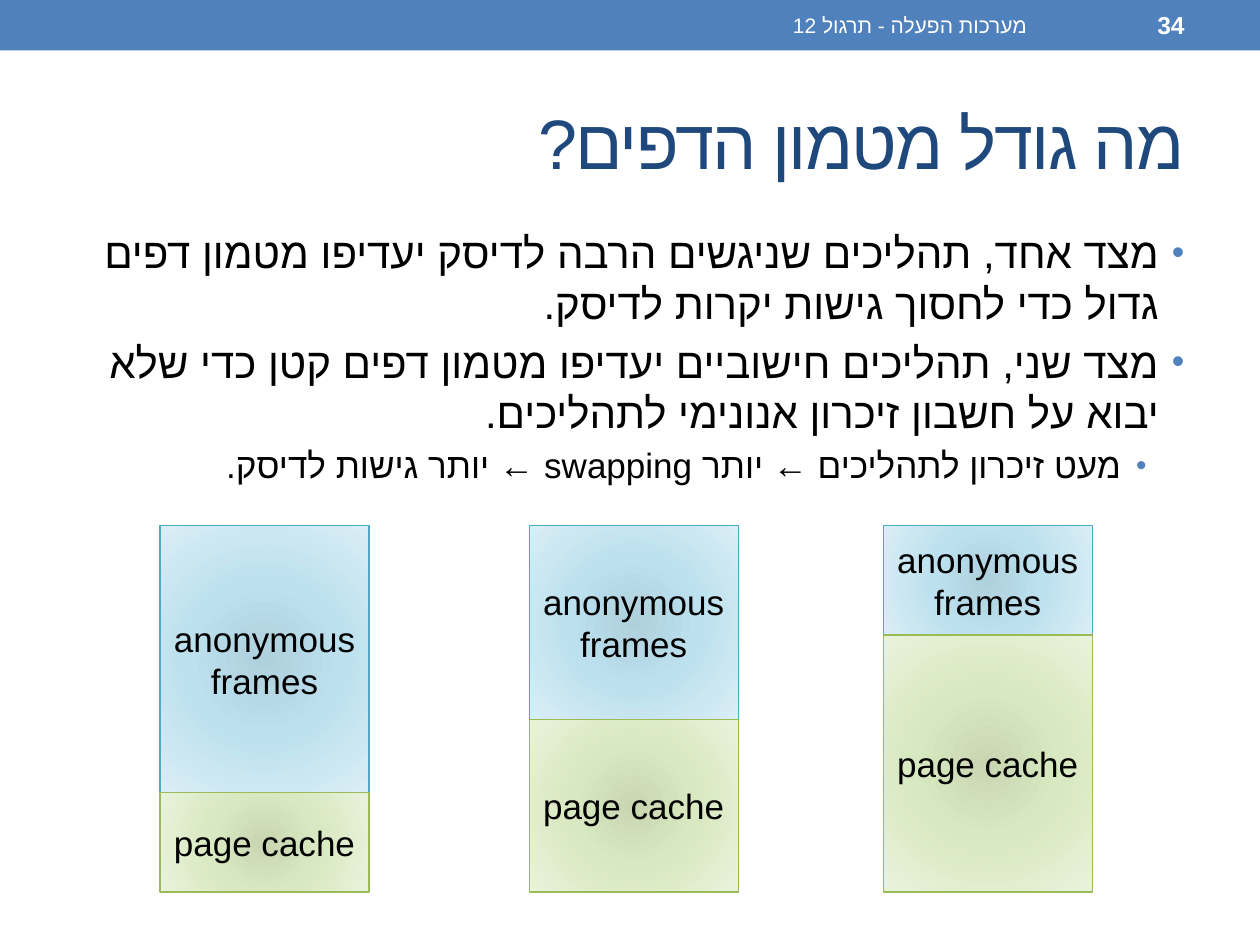
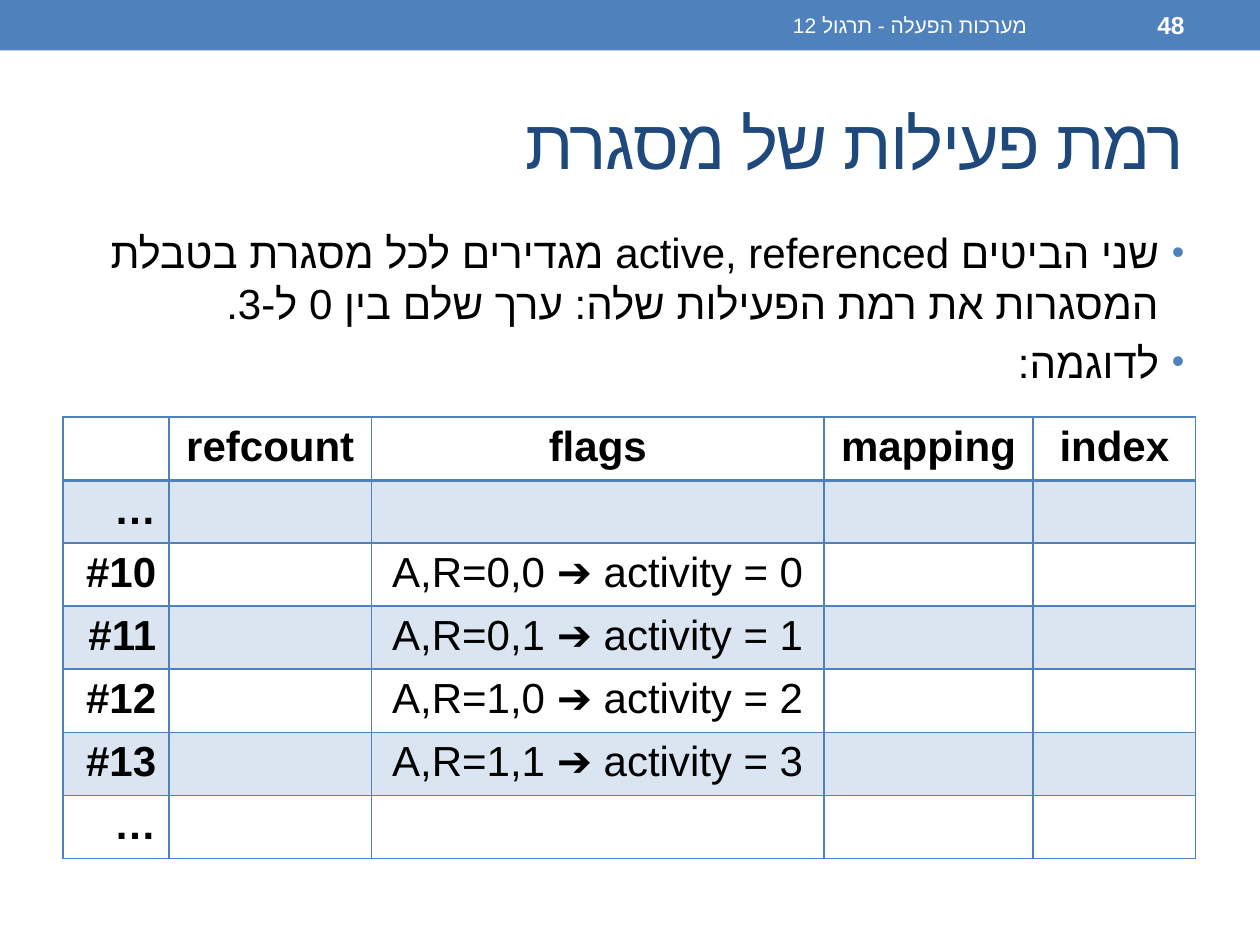
import pptx
import pptx.dml.color
import pptx.enum.shapes
import pptx.enum.text
import pptx.oxml
import pptx.oxml.ns
import pptx.util
import lxml.etree

# Content
FOOTER = "מערכות הפעלה - תרגול 12"
CACHE_SIZE = {
    "number": "34",
    "title": "מה גודל מטמון הדפים?",
    "bullets": [
        (0, "מצד אחד, תהליכים שניגשים הרבה לדיסק יעדיפו מטמון דפים גדול כדי לחסוך גישות יקרות לדיסק."),
        (0, "מצד שני, תהליכים חישוביים יעדיפו מטמון דפים קטן כדי שלא יבוא על חשבון זיכרון אנונימי לתהליכים."),
        (1, "מעט זיכרון לתהליכים ← יותר swapping ← יותר גישות לדיסק."),
    ],
}
ACTIVITY = {
    "number": "48",
    "title": "רמת פעילות של מסגרת",
    "bullets": [
        (0, "שני הביטים active, referenced מגדירים לכל מסגרת בטבלת המסגרות את רמת הפעילות שלה: ערך שלם בין 0 ל-3."),
        (0, "לדוגמה:"),
    ],
}
# Left edge of each memory bar and the height of its anonymous part
MEMORY_BARS = [(1.27, 2.12), (4.2, 1.54), (7.01, 0.87)]
BAR_TOP, BAR_BOTTOM, BAR_WIDTH = 4.17, 7.08, 1.66

FRAME_HEADER = ["", "refcount", "flags", "mapping", "index"]
FRAME_ROWS = [
    ("…", ""),
    ("#10", "A,R=0,0 ➔ activity = 0"),
    ("#11", "A,R=0,1 ➔ activity = 1"),
    ("#12", "A,R=1,0 ➔ activity = 2"),
    ("#13", "A,R=1,1 ➔ activity = 3"),
    ("…", ""),
]
FRAME_COLUMNS = [0.84, 1.61, 3.59, 1.66, 1.29]
ROW_HEIGHT = 0.41

# Shared style
FONT = "Arial"
BLUE, NAVY, BLACK, WHITE = "4F81BD", "1F497D", "000000", "FFFFFF"
ANONYMOUS = ("4BACC6", [(0, "AFD0DD"), (45, "BCE0EE"), (100, "DAEEF6")])
PAGE_CACHE = ("9BBB59", [(0, "C8D7B2"), (45, "D8E8C0"), (100, "E9F3DC")])
LEVELS = [(24, 0.2), (20, 0.5)]  # text size, indent
HANGING = 0.2
MARGIN = 0.5
BAND_HEIGHT = 0.4
CENTER = pptx.enum.text.PP_ALIGN.CENTER
RIGHT = pptx.enum.text.PP_ALIGN.RIGHT
MIDDLE = pptx.enum.text.MSO_ANCHOR.MIDDLE


def inches(*lengths):
    return [pptx.util.Inches(length) for length in lengths]


def color(value):
    return pptx.dml.color.RGBColor.from_string(value)


def add_xml(parent, markup):
    """Append DrawingML elements to parent, in order."""
    wrapper = f'<a:x {pptx.oxml.ns.nsdecls("a")}>{markup}</a:x>'
    for element in list(pptx.oxml.parse_xml(wrapper)):
        parent.append(element)


def write(para, text, size, ink=BLACK, bold=False, align=CENTER, rtl=False):
    para.alignment = align
    span = para.add_run()
    span.text = text
    span.font.size = pptx.util.Pt(size)
    span.font.bold = bold
    span.font.name = FONT
    span.font.color.rgb = color(ink)
    add_xml(span.font._element, f'<a:cs typeface="{FONT}"/>')
    if rtl:
        para._p.get_or_add_pPr().set("rtl", "1")
    return span


def place(shape, left, top, width, height):
    shape.left, shape.top, shape.width, shape.height = inches(left, top, width, height)


def add_rectangle(page, left, top, width, height):
    box = page.shapes.add_shape(pptx.enum.shapes.MSO_SHAPE.RECTANGLE,
                                *inches(left, top, width, height))
    box.shadow.inherit = False
    return box


def add_band_text(page, text, left, width, size, bold=False):
    box = page.shapes.add_textbox(*inches(left, 0.02, width, 0.36))
    box.text_frame.word_wrap = True
    box.text_frame.vertical_anchor = MIDDLE
    write(box.text_frame.paragraphs[0], text, size, WHITE, bold, RIGHT, rtl=True)


def add_bullets(frame, bullets):
    frame.auto_size = pptx.enum.text.MSO_AUTO_SIZE.NONE
    for index, (level, text) in enumerate(bullets):
        para = frame.add_paragraph() if index else frame.paragraphs[0]
        para.level = level
        size, indent = LEVELS[level]
        write(para, text, size, align=RIGHT, rtl=True)
        properties = para._p.get_or_add_pPr()
        properties.set("marL", str(pptx.util.Inches(indent)))
        properties.set("marR", "0")
        properties.set("indent", str(pptx.util.Inches(-HANGING)))
        add_xml(properties, f'<a:buClr><a:srgbClr val="{BLUE}"/></a:buClr><a:buSzPct val="85000"/>'
                            f'<a:buFont typeface="{FONT}"/><a:buChar char="•"/>')


def add_page(deck, content):
    """Slide with band, title and bullets."""
    page = deck.slides.add_slide(deck.slide_layouts[1])
    width = deck.slide_width.inches - 2 * MARGIN

    band = add_rectangle(page, 0, 0, deck.slide_width.inches, BAND_HEIGHT)
    band.fill.solid()
    band.fill.fore_color.rgb = color(BLUE)
    band.line.fill.background()
    add_band_text(page, FOOTER, 3.75, 4.5, 12)
    add_band_text(page, content["number"], 8.33, 1.17, 14, bold=True)

    title = page.shapes.title
    place(title, MARGIN, 0.58, width, 1.08)
    title.text_frame.auto_size = pptx.enum.text.MSO_AUTO_SIZE.NONE
    title.text_frame.vertical_anchor = MIDDLE
    span = write(title.text_frame.paragraphs[0], content["title"], 40, NAVY, align=RIGHT, rtl=True)
    span.font._element.set("spc", "-100")

    body = page.placeholders[1]
    place(body, MARGIN, 1.75, width, 5.33)
    add_bullets(body.text_frame, content["bullets"])
    return page


def add_memory_part(page, text, left, top, height, style):
    edge, stops = style
    box = add_rectangle(page, left, top, BAR_WIDTH, height)
    box.fill.gradient()
    gradient = box._element.spPr.find(pptx.oxml.ns.qn("a:gradFill"))
    for child in list(gradient):
        gradient.remove(child)
    marks = "".join(f'<a:gs pos="{share * 1000}"><a:srgbClr val="{tint}"/></a:gs>'
                    for share, tint in stops)
    add_xml(gradient, f'<a:gsLst>{marks}</a:gsLst><a:path path="circle">'
                      '<a:fillToRect l="50000" t="50000" r="50000" b="50000"/></a:path>')
    box.line.color.rgb = color(edge)
    box.line.width = pptx.util.Pt(0.75)
    box.text_frame.word_wrap = True
    box.text_frame.vertical_anchor = MIDDLE
    write(box.text_frame.paragraphs[0], text, 20)


def style_cell(cell, is_header, is_shaded):
    properties = cell._tc.get_or_add_tcPr()
    for side in "LRTB":
        points = 2 if is_header and side == "B" else 1
        add_xml(properties, f'<a:ln{side} w="{pptx.util.Pt(points)}"><a:solidFill>'
                            f'<a:srgbClr val="{BLUE}"/></a:solidFill></a:ln{side}>')
    if is_shaded:
        add_xml(properties, f'<a:solidFill><a:srgbClr val="{BLUE}"><a:alpha val="20000"/>'
                            '</a:srgbClr></a:solidFill>')
    else:
        cell.fill.background()


def add_frame_table(page):
    rows = [FRAME_HEADER] + [[name, "", flags, "", ""] for name, flags in FRAME_ROWS]
    table = page.shapes.add_table(
        len(rows), len(FRAME_COLUMNS),
        *inches(MARGIN, 3.31, sum(FRAME_COLUMNS), ROW_HEIGHT * len(rows))).table
    table.first_row = table.horz_banding = False
    for column, width in zip(table.columns, FRAME_COLUMNS):
        column.width = pptx.util.Inches(width)
    for r, row in enumerate(rows):
        for c, text in enumerate(row):
            cell = table.cell(r, c)
            style_cell(cell, r == 0, r % 2 == 1)
            if text:
                write(cell.text_frame.paragraphs[0], text, 24, bold=r == 0 or c == 0,
                      align=CENTER if c else RIGHT)


def main():
    deck = pptx.Presentation()
    deck.slide_width, deck.slide_height = inches(10, 7.5)

    # Memory split between processes and the cache
    page = add_page(deck, CACHE_SIZE)
    for left, height in MEMORY_BARS:
        split = BAR_TOP + height
        add_memory_part(page, "anonymous frames", left, BAR_TOP, height, ANONYMOUS)
        add_memory_part(page, "page cache", left, split, BAR_BOTTOM - split, PAGE_CACHE)

    # Frame table with activity levels
    add_frame_table(add_page(deck, ACTIVITY))

    deck.save("out.pptx")


if __name__ == "__main__":
    main()
